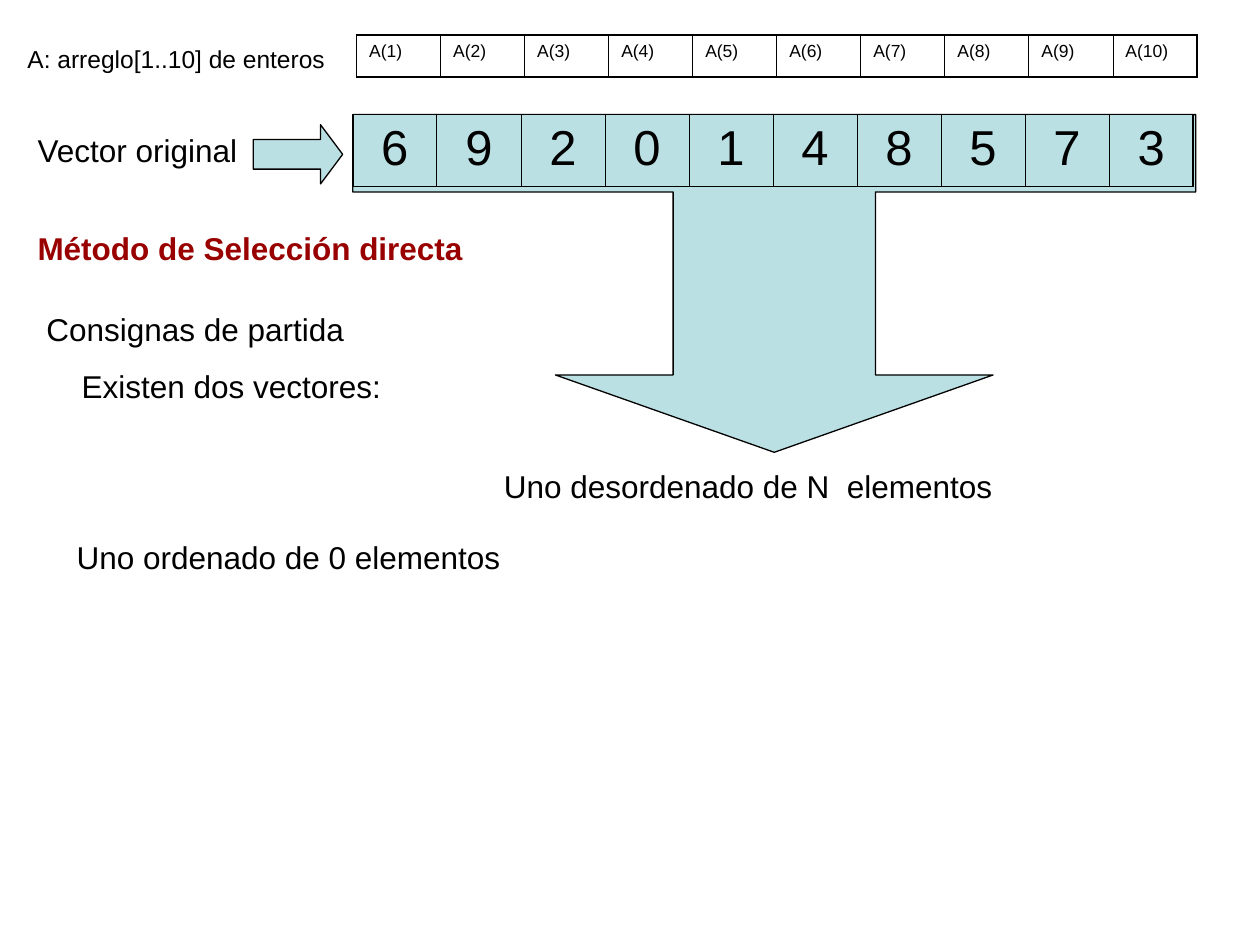
from lxml import etree
from pptx import Presentation
from pptx.dml.color import RGBColor
from pptx.enum.shapes import MSO_SHAPE as Shape
from pptx.enum.text import MSO_AUTO_SIZE as AutoSize, PP_ALIGN as Align
from pptx.oxml.ns import qn
from pptx.util import Inches, Pt

COLORS = {"text": "000000", "title": "990000", "vector": "BBE0E3"}
VALUES = [6, 9, 2, 0, 1, 4, 8, 5, 7, 3]
OUTER_LINE, INNER_LINE = 1.08, 0.45


def rgb(name):
    return RGBColor.from_string(COLORS[name])


def format_paragraph(paragraph, size, color="text", bold=False):
    for run in paragraph.runs:
        run.font.name = "Arial"
        run.font.size = Pt(size)
        run.font.bold = bold
        run.font.color.rgb = rgb(color)


def add_label(slide, box, lines, size=18, color="text", bold=False):
    """Text box with one paragraph per line; each line is (text, indent)."""
    text_frame = slide.shapes.add_textbox(*map(Inches, box)).text_frame
    text_frame.word_wrap = True
    text_frame.auto_size = AutoSize.SHAPE_TO_FIT_TEXT
    text_frame.text = "\n".join(text for text, indent in lines)
    for number, paragraph in enumerate(text_frame.paragraphs):
        if number:
            paragraph.space_before = Pt(11.2)
        indent = lines[number][1]
        if indent:
            paragraph._p.get_or_add_pPr().set("marL", str(Inches(indent)))
        format_paragraph(paragraph, size, color, bold)


def add_arrow(slide, kind, box, adjustments):
    shape = slide.shapes.add_shape(kind, *map(Inches, box))
    shape.shadow.inherit = False
    for number, value in enumerate(adjustments):
        shape.adjustments[number] = value
    shape.fill.solid()
    shape.fill.fore_color.rgb = rgb("vector")
    shape.line.color.rgb = rgb("text")
    shape.line.width = Pt(0.75)


def set_borders(cell, widths):
    """Borders come before the fill in the cell properties."""
    properties = cell._tc.get_or_add_tcPr()
    for position, (side, width) in enumerate(widths.items()):
        line = etree.Element(qn(f"a:ln{side}"), w=str(Pt(width)))
        fill = etree.SubElement(line, qn("a:solidFill"))
        etree.SubElement(fill, qn("a:srgbClr"), val=COLORS["text"])
        properties.insert(position, line)


def add_vector(slide, box, entries, size, align, fill=None):
    """One-row table with a heavier outer frame."""
    frame = slide.shapes.add_table(1, len(entries), *map(Inches, box))
    table = frame.table
    table.first_row = table.horz_banding = False
    last = len(entries) - 1
    for index, entry in enumerate(entries):
        table.columns[index].width = Inches(box[2] / len(entries))
        cell = table.cell(0, index)
        if fill:
            cell.fill.solid()
            cell.fill.fore_color.rgb = rgb(fill)
        else:
            cell.fill.background()
        set_borders(cell, {
            "L": OUTER_LINE if index == 0 else INNER_LINE,
            "R": OUTER_LINE if index == last else INNER_LINE,
            "T": OUTER_LINE,
            "B": OUTER_LINE,
        })
        cell.text_frame.text = str(entry)
        paragraph = cell.text_frame.paragraphs[0]
        paragraph.alignment = align
        format_paragraph(paragraph, size)


def add_original_vector(slide, left, top):
    """Label, arrow and values, with the callout pointing down behind them."""
    vector_left = left + 2.6
    add_arrow(slide, Shape.DOWN_ARROW_CALLOUT, (vector_left, top, 6.69, 2.68),
              (0.599, 0.648, 0.229, 0.229))
    add_label(slide, (left, top + 0.08, 1.81, 0.4), [("Vector original", 0)])
    add_arrow(slide, Shape.RIGHT_ARROW, (left + 1.81, top + 0.08, 0.71, 0.47),
              (0.5, 0.374))
    add_vector(slide, (vector_left, top, 6.67, 0.57), VALUES, 28,
               Align.CENTER, "vector")


def add_declaration(slide, left, top):
    """Array declaration and the names of its elements."""
    names = [f"A({number})" for number in range(1, len(VALUES) + 1)]
    add_vector(slide, (left + 2.71, top, 6.67, 0.33), names, 10, Align.LEFT)
    add_label(slide, (left, top + 0.02, 2.6, 0.34),
              [("A: arreglo[1..10] de enteros", 0)], size=14)


def add_method(slide, left, top):
    """Method title and its starting conditions."""
    add_label(slide, (left, top, 4.17, 0.4),
              [("Método de Selección directa", 0)], color="title", bold=True)
    add_label(slide, (left + 0.07, top + 0.64, 4.41, 0.86),
              [("Consignas de partida", 0), ("Existen dos vectores:", 0.28)])
    add_label(slide, (left + 3.7, top + 1.89, 5.59, 0.4),
              [("Uno desordenado de N  elementos", 0)])
    add_label(slide, (left + 0.31, top + 2.45, 5.04, 0.4),
              [("Uno ordenado de 0 elementos", 0)])


def main():
    presentation = Presentation()
    presentation.slide_width = Inches(10)
    presentation.slide_height = Inches(7.5)
    slide = presentation.slides.add_slide(presentation.slide_layouts[6])
    add_original_vector(slide, 0.2, 0.91)
    add_declaration(slide, 0.12, 0.28)
    add_method(slide, 0.2, 1.77)
    presentation.save("out.pptx")


if __name__ == "__main__":
    main()
